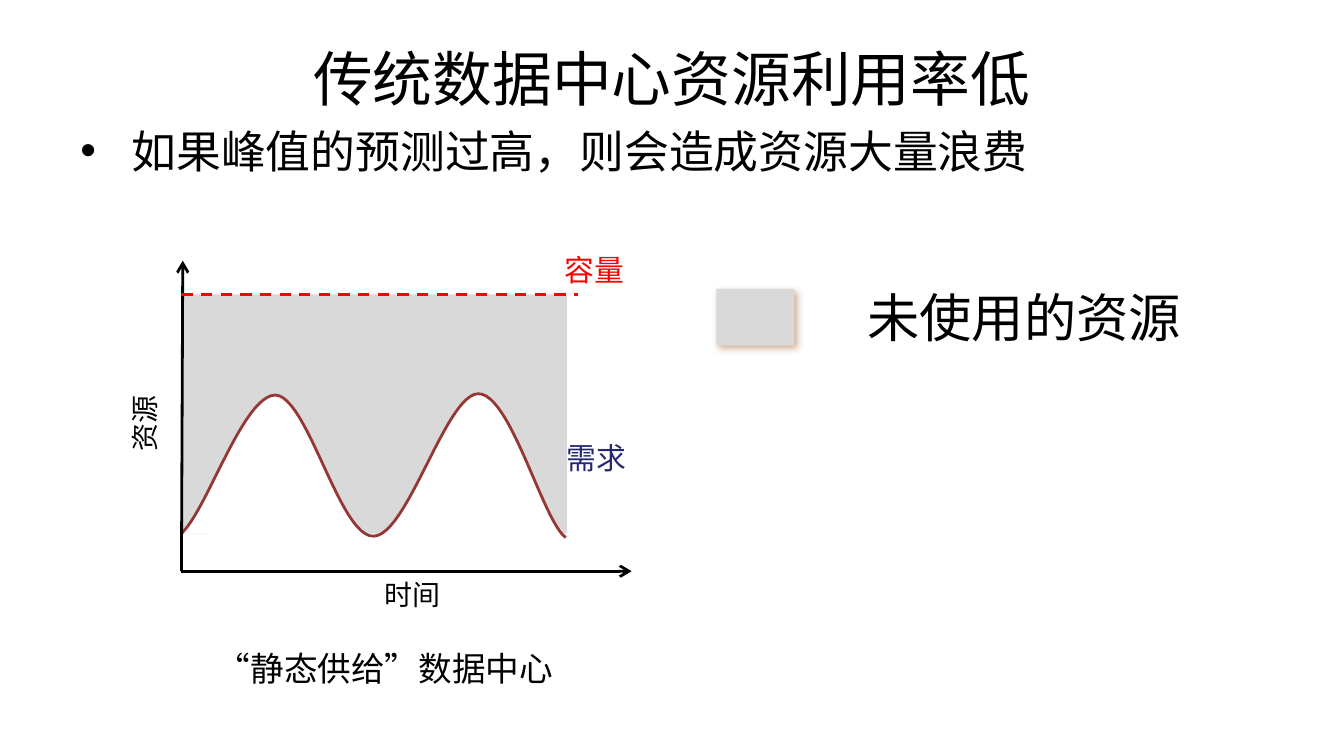
from lxml import etree
from pptx import Presentation
from pptx.dml.color import RGBColor
from pptx.enum.dml import MSO_LINE
from pptx.enum.shapes import MSO_CONNECTOR, MSO_SHAPE
from pptx.enum.text import MSO_ANCHOR, MSO_AUTO_SIZE, PP_ALIGN
from pptx.oxml import parse_xml
from pptx.oxml.ns import nsdecls, qn
from pptx.util import Inches, Pt

BLACK = RGBColor(0x00, 0x00, 0x00)
WHITE = RGBColor(0xFF, 0xFF, 0xFF)
GREY = RGBColor(0xD9, 0xD9, 0xD9)
RED = RGBColor(0xFF, 0x00, 0x00)
NAVY = RGBColor(0x26, 0x26, 0x73)
BROWN = RGBColor(0x95, 0x37, 0x35)
SHADOW = RGBColor(0x98, 0x48, 0x07)

SLIDE_W = 10
SLIDE_H = SLIDE_W * 9 / 16
MARGIN = 0.05 * SLIDE_W

# Plot: axis origin, axis ends, capacity level and the end of the demand curve
ORIGIN_X, ORIGIN_Y = 1.35, 4.25
AXIS_TOP, AXIS_RIGHT = 1.94, 4.7
CAPACITY_Y, CAPACITY_RIGHT = 2.19, 4.3
DEMAND_RIGHT, UNUSED_BOTTOM = 4.22, 3.97

TITLE = "传统数据中心资源利用率低"
BULLET = "如果峰值的预测过高，则会造成资源大量浪费"

# text, (left, top, width, height), size, font, colour, direction
LABELS = [
    ("未使用的资源", (6.34, 2.07, 2.56, 0.57), 28, "Calibri", BLACK, "horz"),
    ("“静态供给”数据中心", (1.5, 4.77, 2.73, 0.4), 18, "Calibri", BLACK, "horz"),
    ("需求", (4.11, 3.22, 0.65, 0.37), 16, "Calibri", NAVY, "horz"),
    ("容量", (4.1, 1.82, 0.65, 0.37), 16, "Calibri", RED, "horz"),
    ("时间", (2.76, 4.25, 0.62, 0.35), 15, "Calibri", BLACK, "horz"),
    ("资源", (0.9, 2.89, 0.45, 0.52), 15, "Arial", BLACK, "vert270"),
]

# start, end, colour, is an axis
LINES = [
    ((ORIGIN_X, ORIGIN_Y), (ORIGIN_X + 0.01, AXIS_TOP), BLACK, True),
    ((ORIGIN_X, ORIGIN_Y), (AXIS_RIGHT, ORIGIN_Y), BLACK, True),
    ((ORIGIN_X, CAPACITY_Y), (CAPACITY_RIGHT, CAPACITY_Y), RED, False),
]

# Bezier points of the demand curve: a start, then three points per piece
DEMAND = [
    (1.35, 3.97),
    (1.54, 3.8), (1.81, 2.94), (2.05, 2.94),
    (2.29, 2.95), (2.53, 4), (2.78, 3.99),
    (3.03, 3.99), (3.32, 2.93), (3.56, 2.93),
    (3.8, 2.93), (4.04, 3.88), (4.21, 4),
]
STEPS = 24


def inches(*lengths):
    return [Inches(length) for length in lengths]


def add_run(paragraph, text, size, font, colour):
    run = paragraph.add_run()
    run.text = text
    run.font.size = Pt(size)
    run.font.name = font
    run.font.color.rgb = colour


def add_block(slide, left, top, width, height):
    block = slide.shapes.add_shape(MSO_SHAPE.RECTANGLE, *inches(left, top, width, height))
    block.shadow.inherit = False
    block.fill.solid()
    block.fill.fore_color.rgb = GREY
    block.line.fill.background()
    return block


def add_shadow(shape):
    effects = shape._element.spPr.find(qn("a:effectLst"))
    effects.append(parse_xml(
        f'<a:outerShdw {nsdecls("a")} blurRad="{Pt(4)}" dist="{Pt(2)}" dir="2700000">'
        f'<a:srgbClr val="{SHADOW}"><a:alpha val="43000"/></a:srgbClr></a:outerShdw>'))


def add_title(slide):
    title = slide.shapes.title
    title.left, title.top, title.width, title.height = inches(
        MARGIN, 0.19, SLIDE_W - 2 * MARGIN, 0.77)
    title.text_frame.vertical_anchor = MSO_ANCHOR.MIDDLE
    paragraph = title.text_frame.paragraphs[0]
    paragraph.alignment = PP_ALIGN.CENTER
    add_run(paragraph, TITLE, 32, "Arial", BLACK)


def add_bullet(slide):
    frame = slide.shapes.add_textbox(*inches(MARGIN, 0.87, 9.17, 0.68)).text_frame
    frame.word_wrap = True
    paragraph = frame.paragraphs[0]
    properties = paragraph._p.get_or_add_pPr()
    properties.set("marL", str(Inches(0.38)))
    properties.set("indent", str(-Inches(0.38)))
    etree.SubElement(properties, qn("a:buFont"), typeface="Arial")
    etree.SubElement(properties, qn("a:buChar"), char="•")
    add_run(paragraph, BULLET, 24, "Calibri", BLACK)


def add_label(slide, text, box, size, font, colour, direction):
    frame = slide.shapes.add_textbox(*inches(*box)).text_frame
    frame.word_wrap = False
    frame.auto_size = MSO_AUTO_SIZE.SHAPE_TO_FIT_TEXT
    frame._txBody.bodyPr.set("vert", direction)
    paragraph = frame.paragraphs[0]
    paragraph.alignment = PP_ALIGN.CENTER
    add_run(paragraph, text, size, font, colour)


def add_line(slide, start, end, colour, is_axis):
    """Draw an axis with an arrowhead, or a dashed level line."""
    line = slide.shapes.add_connector(MSO_CONNECTOR.STRAIGHT, *inches(*start, *end))
    line.line.color.rgb = colour
    line.line.width = Pt(1.5)
    if is_axis:
        etree.SubElement(line.line._get_or_add_ln(), qn("a:tailEnd"), type="arrow")
    else:
        line.line.dash_style = MSO_LINE.DASH
    etree.SubElement(line._element.spPr, qn("a:effectLst"))


def bezier_point(piece, t):
    weights = ((1 - t) ** 3, 3 * t * (1 - t) ** 2, 3 * t ** 2 * (1 - t), t ** 3)
    return tuple(sum(w * point[axis] for w, point in zip(weights, piece))
                 for axis in (0, 1))


def add_demand(slide):
    points = [bezier_point(DEMAND[first:first + 4], step / STEPS)
              for first in range(0, len(DEMAND) - 1, 3)
              for step in range(1, STEPS + 1)]
    builder = slide.shapes.build_freeform(*inches(*DEMAND[0]))
    builder.add_line_segments([inches(*point) for point in points], close=False)
    demand = builder.convert_to_shape()
    demand.shadow.inherit = False
    demand.fill.solid()
    demand.fill.fore_color.rgb = WHITE
    demand.line.color.rgb = BROWN
    demand.line.width = Pt(1.5)


def main():
    presentation = Presentation()
    presentation.slide_width, presentation.slide_height = inches(SLIDE_W, SLIDE_H)
    slide = presentation.slides.add_slide(presentation.slide_layouts[5])
    add_title(slide)
    add_bullet(slide)
    add_block(slide, ORIGIN_X + 0.01, CAPACITY_Y,
              DEMAND_RIGHT - ORIGIN_X - 0.01, UNUSED_BOTTOM - CAPACITY_Y)
    add_shadow(add_block(slide, 5.33, 2.15, 0.58, 0.42))
    add_demand(slide)
    for line in LINES:
        add_line(slide, *line)
    for label in LABELS:
        add_label(slide, *label)
    presentation.save("out.pptx")


if __name__ == "__main__":
    main()
